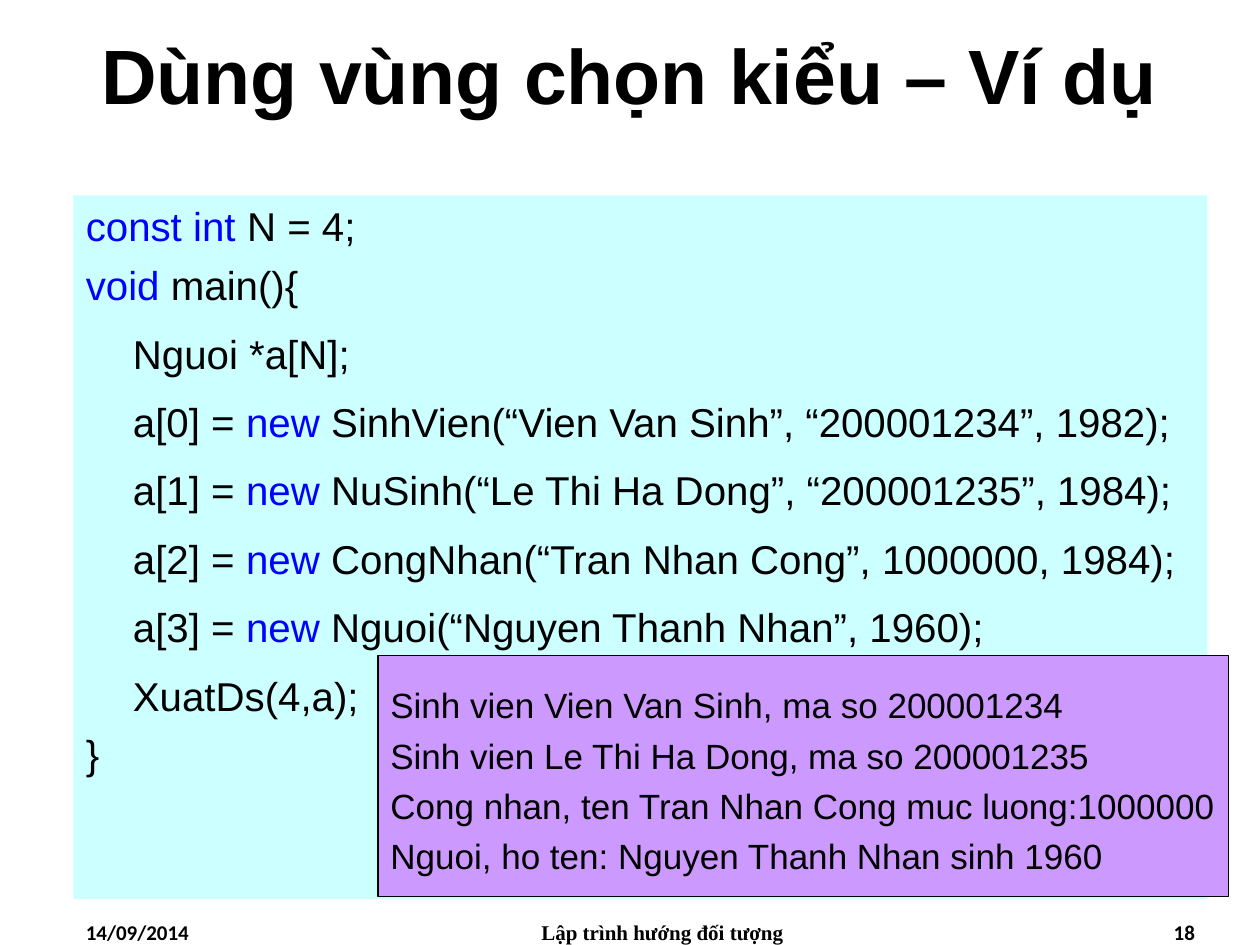
from pptx import Presentation
from pptx.dml.color import RGBColor
from pptx.enum.shapes import MSO_SHAPE
from pptx.enum.text import MSO_ANCHOR, PP_ALIGN
from pptx.util import Cm, Pt

LEFT, CENTER, RIGHT = PP_ALIGN.LEFT, PP_ALIGN.CENTER, PP_ALIGN.RIGHT
TOP, MIDDLE = MSO_ANCHOR.TOP, MSO_ANCHOR.MIDDLE
RECTANGLE = MSO_SHAPE.RECTANGLE

COLORS = {
    "text": "000000",
    "keyword": "0000FF",
    "code": "CCFFFF",
    "output": "CC99FF",
}
INDENT = 0.95

# Each code line is a list of (text, color name) runs
OBJECTS = [
    "SinhVien(“Vien Van Sinh”, “200001234”, 1982);",
    "NuSinh(“Le Thi Ha Dong”, “200001235”, 1984);",
    "CongNhan(“Tran Nhan Cong”, 1000000, 1984);",
    "Nguoi(“Nguyen Thanh Nhan”, 1960);",
]
CODE_LINES = [
    [("const int", "keyword"), (" N = 4;", "text")],
    [("void", "keyword"), (" main(){", "text")],
    [("\tNguoi *a[N];", "text")],
    *[[(f"\ta[{index}] = ", "text"), ("new", "keyword"), (f" {call}", "text")]
      for index, call in enumerate(OBJECTS)],
    [("\tXuatDs(4,a);", "text")],
    [("}", "text")],
]
OUTPUT_LINES = [
    "Sinh vien Vien Van Sinh, ma so 200001234",
    "Sinh vien Le Thi Ha Dong, ma so 200001235",
    "Cong nhan, ten Tran Nhan Cong muc luong:1000000",
    "Nguoi, ho ten: Nguyen Thanh Nhan sinh 1960",
]


def color(name):
    return RGBColor.from_string(COLORS[name])


def add_text(paragraph, text, size, font="Arial", color_name="text", bold=False,
             align=LEFT, spacing=1.0, before=0):
    paragraph.alignment = align
    paragraph.line_spacing = spacing
    paragraph.space_before = Pt(before)
    run = paragraph.add_run()
    run.text = text
    run.font.size = Pt(size)
    run.font.name = font
    run.font.bold = bold
    run.font.color.rgb = color(color_name)


def set_hanging_indent(paragraph):
    properties = paragraph._p.get_or_add_pPr()
    properties.set("marL", str(Cm(INDENT)))
    properties.set("indent", str(-Cm(INDENT)))


def next_paragraph(frame, index):
    return frame.add_paragraph() if index else frame.paragraphs[0]


def add_label(slide, box, text, size, anchor=TOP, **text_format):
    shape = slide.shapes.add_textbox(*map(Cm, box))
    frame = shape.text_frame
    frame.word_wrap = True
    frame.vertical_anchor = anchor
    add_text(frame.paragraphs[0], text, size, bold=True, **text_format)


def add_panel(slide, box, fill, anchor, wrap):
    shape = slide.shapes.add_shape(RECTANGLE, *map(Cm, box))
    shape.shadow.inherit = False
    shape.fill.solid()
    shape.fill.fore_color.rgb = color(fill)
    shape.line.fill.background()
    shape.text_frame.word_wrap = wrap
    shape.text_frame.vertical_anchor = anchor
    return shape


def add_code(slide, box):
    frame = add_panel(slide, box, "code", TOP, True).text_frame
    for index, runs in enumerate(CODE_LINES):
        paragraph = next_paragraph(frame, index)
        set_hanging_indent(paragraph)
        spacing = 1.2 if runs[0][0].startswith("\t") else 1.0
        for text, color_name in runs:
            add_text(paragraph, text, 23, color_name=color_name,
                     spacing=spacing, before=6)


def add_output(slide, box):
    shape = add_panel(slide, box, "output", MIDDLE, False)
    shape.line.color.rgb = color("text")
    shape.line.width = Pt(0.75)
    for index, text in enumerate(OUTPUT_LINES):
        add_text(next_paragraph(shape.text_frame, index), text, 20, spacing=1.2)


def add_footer(slide, box):
    left, top, width, height = box
    side, middle = 5.92, 8.05
    parts = [
        (0, side, "14/09/2014", "Calibri", LEFT),
        (7.85, middle, "Lập trình hướng đối tượng", "Times New Roman", CENTER),
        (width - side, side, "18", "Calibri", RIGHT),
    ]
    for offset, part_width, text, font, align in parts:
        add_label(slide, (left + offset, top, part_width, height), text, 12,
                  font=font, align=align)


presentation = Presentation()
presentation.slide_width, presentation.slide_height = Cm(25.4), Cm(19.05)
slide = presentation.slides.add_slide(presentation.slide_layouts[6])

# Title
add_label(slide, (0, 0, 25.4, 2.97), "Dùng vùng chọn kiểu – Ví dụ", 44,
          anchor=MIDDLE, align=CENTER)
# Footer
add_footer(slide, (1.48, 18.41, 22.86, 0.64))
# Program and its output
add_code(slide, (1.48, 3.94, 22.86, 14.18))
add_output(slide, (7.62, 13.21, 17.15, 4.87))

presentation.save("out.pptx")
